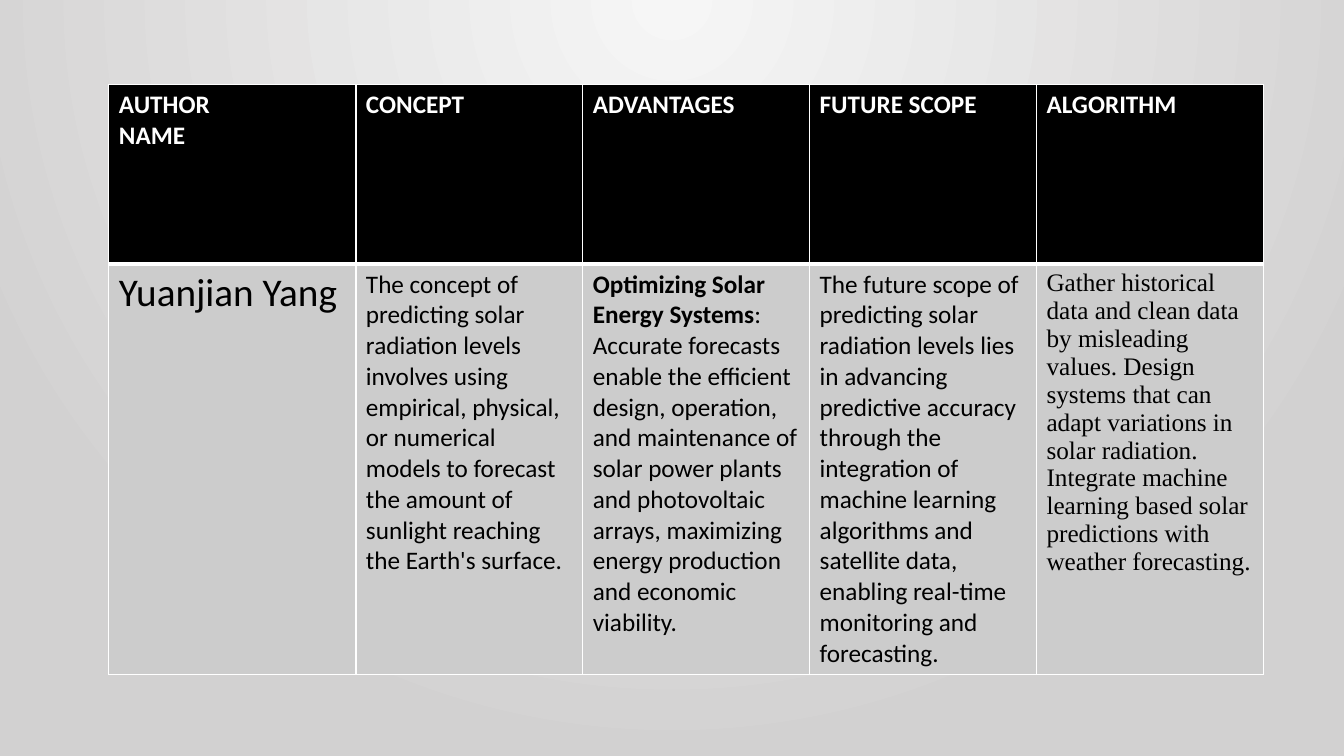
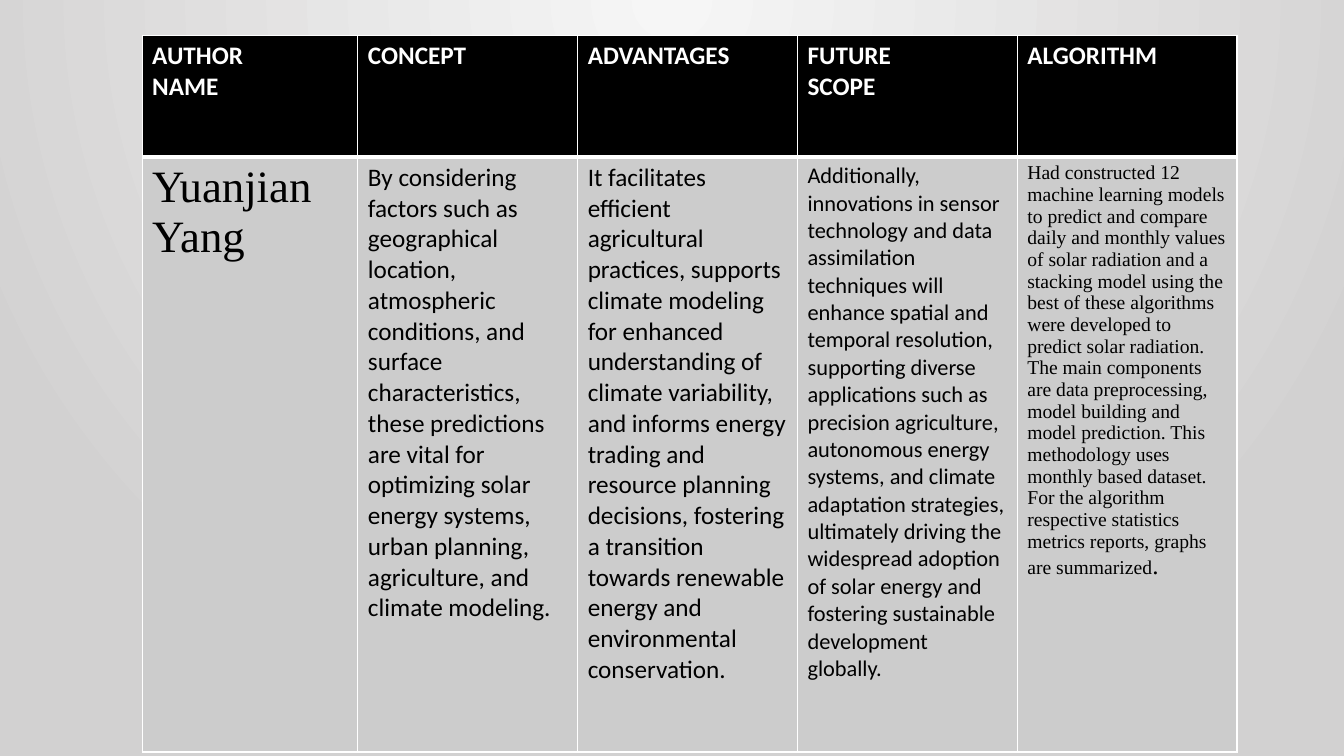
from lxml import etree
from pptx import Presentation
from pptx.dml.color import RGBColor
from pptx.oxml.ns import qn
from pptx.util import Inches, Pt

COLORS = {
    "header": "000000", "header_text": "FFFFFF", "body": "CCCCCC",
    "body_text": "000000", "border": "FFFFFF",
    "glow_center": "F6F6F6", "glow_edge": "D2D1D1",
}
SANS, SERIF = "Calibri", "Times New Roman"
THIN, THICK = 1, 3

# Each body cell is a list of (text, format) spans.
SLIDES = [
    {
        "left": 1.08, "top": 0.84, "columns": [2.45] + [2.25] * 4, "rows": [1.78, 4.07],
        "headers": ["AUTHOR\nNAME", "CONCEPT", "ADVANTAGES", "FUTURE SCOPE", "ALGORITHM"],
        "body": [
            [("Yuanjian Yang", {"size": 28})],
            [("The concept of predicting solar radiation levels involves using empirical, "
              "physical, or numerical models to forecast the amount of sunlight reaching "
              "the Earth's surface.", {})],
            [("Optimizing Solar Energy Systems", {"bold": True}),
             (": Accurate forecasts enable the efficient design, operation, and maintenance "
              "of solar power plants and photovoltaic arrays, maximizing energy production "
              "and economic viability.", {})],
            [("The future scope of predicting solar radiation levels lies in advancing "
              "predictive accuracy through the integration of machine learning algorithms "
              "and satellite data, enabling real-time monitoring and forecasting.", {})],
            [("Gather historical data and clean data by misleading values. Design systems "
              "that can adapt variations in solar radiation. Integrate machine learning "
              "based solar predictions with weather forecasting.", {"font": SERIF})],
        ],
    },
    {
        "left": 1.41, "top": 0.35, "columns": [2.14] + [2.18] * 4, "rows": [1.21, 5.9],
        "headers": ["AUTHOR\nNAME", "CONCEPT", "ADVANTAGES", "FUTURE\nSCOPE", "ALGORITHM"],
        "body": [
            [("Yuanjian Yang", {"size": 32, "font": SERIF})],
            [("By considering factors such as geographical location, atmospheric conditions, "
              "and surface characteristics, these predictions are vital for optimizing solar "
              "energy systems, urban planning, agriculture, and climate modeling.", {})],
            [("It facilitates efficient agricultural practices, supports climate modeling for "
              "enhanced understanding of climate variability, and informs energy trading and "
              "resource planning decisions, fostering a transition towards renewable energy "
              "and environmental conservation.", {})],
            [("Additionally, innovations in sensor technology and data assimilation techniques "
              "will enhance spatial and temporal resolution, supporting diverse applications "
              "such as precision agriculture, autonomous energy systems, and climate "
              "adaptation strategies, ultimately driving the widespread adoption of solar "
              "energy and fostering sustainable development globally.", {"size": 16})],
            [("Had constructed 12 machine learning models to predict and compare daily and "
              "monthly values of solar radiation and a stacking model using the best of these "
              "algorithms were developed to predict solar radiation. The main components are "
              "data preprocessing, model building and model prediction. This methodology uses "
              "monthly based dataset. For the algorithm respective statistics metrics reports, "
              "graphs are summarized", {"size": 14, "font": SERIF}),
             (".", {"font": SERIF})],
        ],
    },
]


def add_text(para, text, size=18, font=SANS, color="body_text", bold=False):
    span = para.add_run()
    span.text = text
    span.font.size = Pt(size)
    span.font.name = font
    span.font.bold = bold
    span.font.color.rgb = RGBColor.from_string(COLORS[color])


def set_background(master):
    """Give every slide a radial glow from the top centre."""
    fill = master.background.fill
    fill.gradient()
    for stop, name in zip(fill.gradient_stops, ("glow_center", "glow_edge")):
        stop.color.rgb = RGBColor.from_string(COLORS[name])
    gradient = master.element.find(".//" + qn("p:bgPr") + "/" + qn("a:gradFill"))
    gradient.remove(gradient.find(qn("a:lin")))
    circle = etree.SubElement(gradient, qn("a:path"), {"path": "circle"})
    etree.SubElement(circle, qn("a:fillToRect"),
                     {"l": "43000", "t": "0", "r": "43000", "b": "100000"})


def style_cell(cell, fill, top, bottom):
    """Fill the cell and draw its borders, with widths in points."""
    cell.fill.solid()
    cell.fill.fore_color.rgb = RGBColor.from_string(COLORS[fill])
    properties = cell._tc.get_or_add_tcPr()
    sides = {"L": THIN, "R": THIN, "T": top, "B": bottom}
    for index, (side, width) in enumerate(sides.items()):
        line = etree.Element(qn("a:ln" + side), {"w": str(Pt(width))})
        solid = etree.SubElement(line, qn("a:solidFill"))
        etree.SubElement(solid, qn("a:srgbClr"), {"val": COLORS["border"]})
        properties.insert(index, line)


def add_review_table(slide, content):
    columns, rows = content["columns"], content["rows"]
    table = slide.shapes.add_table(
        len(rows), len(columns), Inches(content["left"]), Inches(content["top"]),
        Inches(sum(columns)), Inches(sum(rows))).table
    for column, width in zip(table.columns, columns):
        column.width = Inches(width)
    for row, height in zip(table.rows, rows):
        row.height = Inches(height)

    for index, (header, spans) in enumerate(zip(content["headers"], content["body"])):
        cell = table.cell(0, index)
        style_cell(cell, "header", THIN, THICK)
        for number, line in enumerate(header.split("\n")):
            frame = cell.text_frame
            para = frame.add_paragraph() if number else frame.paragraphs[0]
            add_text(para, line, color="header_text", bold=True)

        cell = table.cell(1, index)
        style_cell(cell, "body", THICK, THIN)
        for text, style in spans:
            add_text(cell.text_frame.paragraphs[0], text, **style)


def main():
    deck = Presentation()
    deck.slide_width, deck.slide_height = Inches(13.33), Inches(7.5)
    set_background(deck.slide_master)
    for content in SLIDES:
        add_review_table(deck.slides.add_slide(deck.slide_layouts[6]), content)
    deck.save("out.pptx")


if __name__ == "__main__":
    main()
